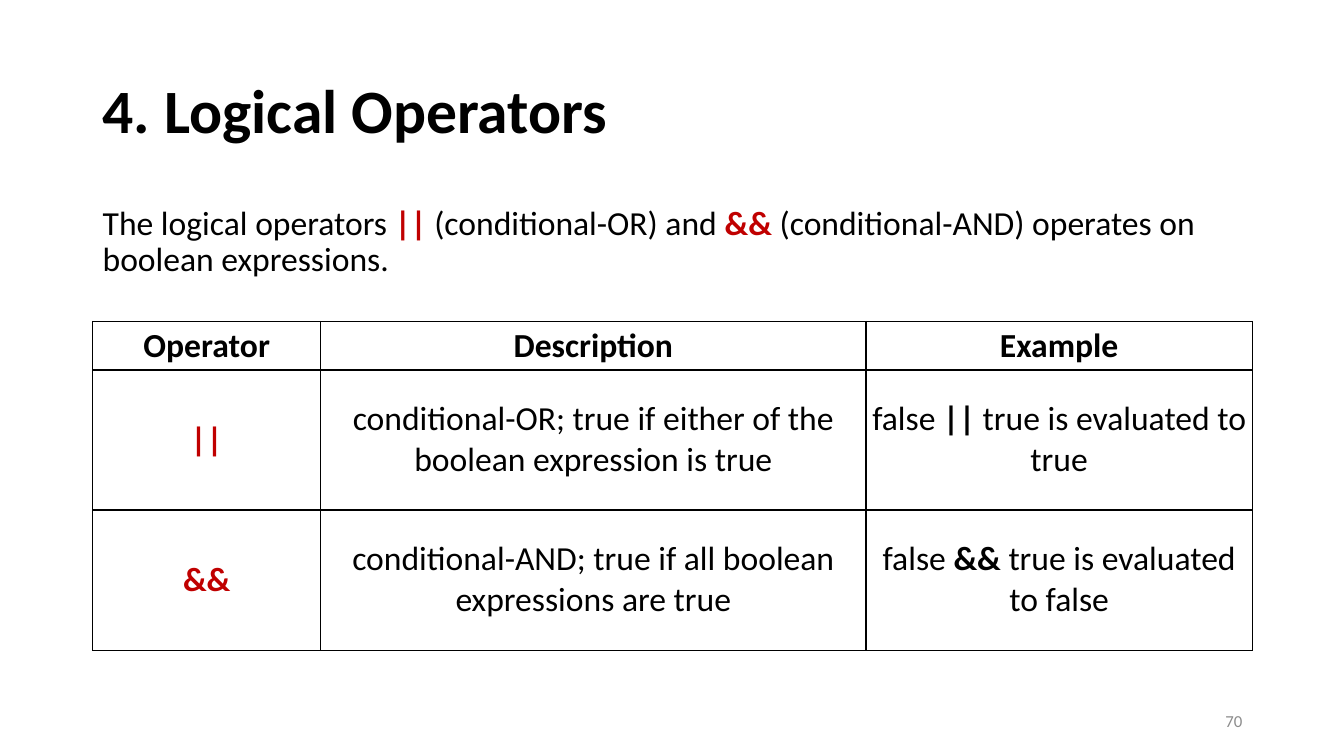
from lxml import etree
from pptx import Presentation
from pptx.dml.color import RGBColor
from pptx.enum.text import MSO_ANCHOR as ANCHOR, PP_ALIGN as ALIGN
from pptx.oxml import parse_xml
from pptx.oxml.ns import nsdecls
from pptx.util import Inches, Pt

BLACK = RGBColor(0x00, 0x00, 0x00)
RED = RGBColor(0xC0, 0x00, 0x00)
GRAY = RGBColor(0x8C, 0x8C, 0x8C)

LEFT, WIDTH = 0.92, 11.5
COLS = [2.26, 5.41, 3.83]
ROWS = [0.48, 1.39, 1.39]


def add_runs(p, runs, size=24):
    """Add (text, colour, bold) runs to a paragraph."""
    for text, color, bold in runs:
        r = p.add_run()
        r.text = text
        r.font.name = "Calibri"
        r.font.size = Pt(size)
        r.font.color.rgb = color
        r.font.bold = bold


def add_text(s, top, height, runs, size, anchor, left=LEFT, width=WIDTH):
    tb = s.shapes.add_textbox(Inches(left), Inches(top), Inches(width), Inches(height))
    tf = tb.text_frame
    tf.word_wrap = True
    tf.vertical_anchor = anchor
    p = tf.paragraphs[0]
    add_runs(p, runs, size)
    return p


prs = Presentation()
prs.slide_width, prs.slide_height = Inches(13.33), Inches(7.5)
s = prs.slides.add_slide(prs.slide_layouts[6])

title = add_text(s, 0.4, 1.45, [("4. Logical Operators", BLACK, True)], 44, ANCHOR.MIDDLE)
title.line_spacing = 0.9

intro = add_text(s, 2, 1.05, [
    ("The logical operators ", BLACK, False),
    ("|| ", RED, True),
    ("(conditional-OR) and ", BLACK, False),
    ("&& ", RED, True),
    ("(conditional-AND) operates on boolean expressions.", BLACK, False),
], 24, ANCHOR.TOP)
intro.line_spacing = 0.9
intro.space_before = Pt(10)

number = add_text(s, 6.95, 0.4, [("70", GRAY, False)], 12, ANCHOR.MIDDLE, 9.42, 3)
number.alignment = ALIGN.RIGHT

cells = [[[(head, BLACK, True)] for head in ("Operator", "Description", "Example")]]
for op, description, result in [
    ("||", "conditional-OR; true if either of the boolean expression is true", "true"),
    ("&&", "conditional-AND; true if all boolean expressions are true", "false"),
]:
    cells.append([
        [(op, RED, True)],
        [(description, BLACK, False)],
        [("false ", BLACK, False), (op, BLACK, True),
         (f" true is evaluated to {result}", BLACK, False)],
    ])

table = s.shapes.add_table(len(ROWS), len(COLS), Inches(LEFT), Inches(3.19),
                           Inches(WIDTH), Inches(sum(ROWS))).table
table.first_row = table.horz_banding = False
for col, width in zip(table.columns, COLS):
    col.width = Inches(width)
for row, height, row_cells in zip(table.rows, ROWS, cells):
    row.height = Inches(height)
    for cell, runs in zip(row.cells, row_cells):
        cell.margin_left = cell.margin_right = Inches(0.01)
        cell.margin_top = cell.margin_bottom = Inches(0.01)
        cell.vertical_anchor = ANCHOR.MIDDLE
        p = cell.text_frame.paragraphs[0]
        p.alignment = ALIGN.CENTER
        add_runs(p, runs)
        tcPr = cell._tc.get_or_add_tcPr()
        for side in ("lnL", "lnR", "lnT", "lnB"):
            tcPr.append(parse_xml(
                f'<a:{side} {nsdecls("a")} w="{Pt(1)}"><a:solidFill>'
                f'<a:srgbClr val="{BLACK}"/></a:solidFill></a:{side}>'))
        etree.SubElement(tcPr, tcPr.nsmap["a"].join("{}") + "noFill")

prs.save("out.pptx")
